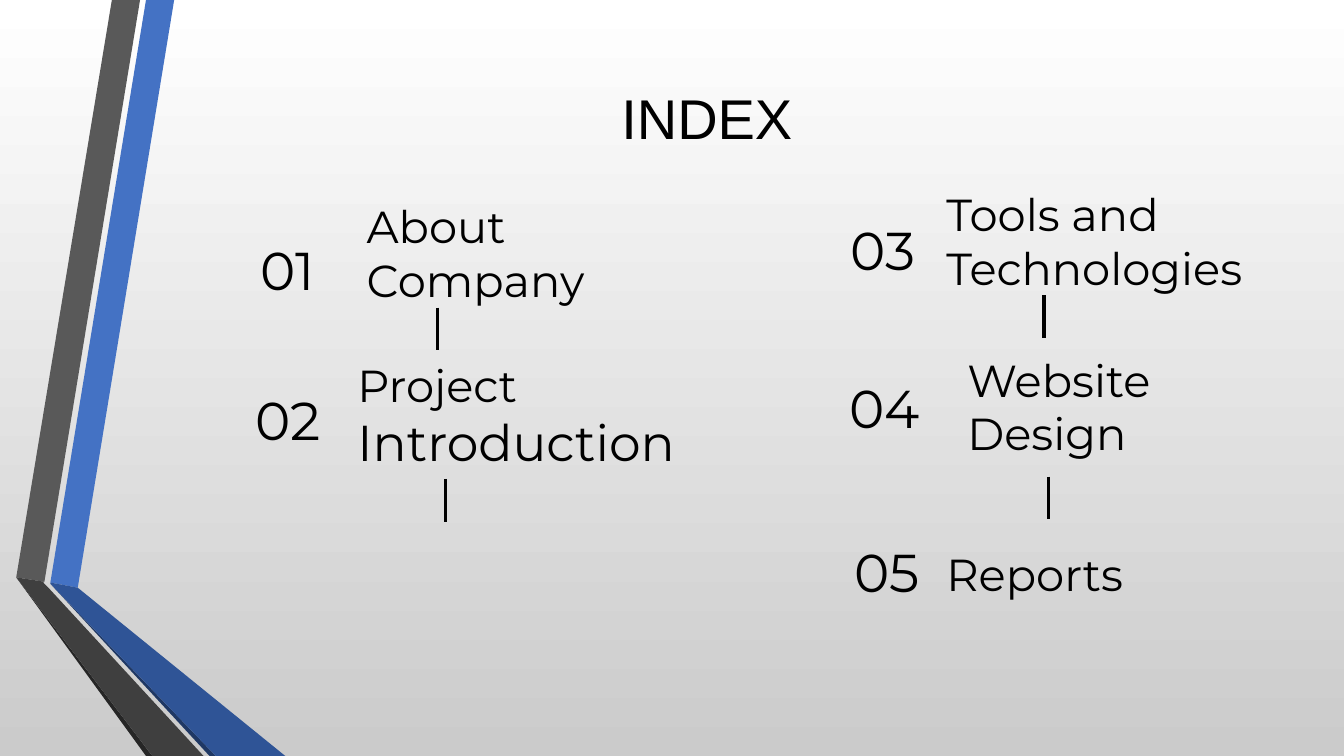
import pptx
import pptx.dml.color
import pptx.enum.shapes
import pptx.enum.text
import pptx.oxml
import pptx.util
from dataclasses import dataclass

Cm, Pt = pptx.util.Cm, pptx.util.Pt
PP_ALIGN = pptx.enum.text.PP_ALIGN


@dataclass(frozen=True)
class Theme:
    ink: str = "000000"
    sky: str = "FFFFFF"
    ground: str = "CBCBCB"
    blue: str = "4472C4"
    blue_fold: str = "2F5496"
    blue_edge: str = "1F3864"
    gray: str = "595959"
    gray_fold: str = "3F3F3F"
    gray_edge: str = "262626"
    title_font: str = "Arial"
    body_font: str = "Montserrat"
    title_size: int = 40
    topic_size: int = 32
    large_topic_size: int = 36
    number_size: int = 38


theme = Theme()
rgb = pptx.dml.color.RGBColor.from_string

deck = pptx.Presentation()
deck.slide_width, deck.slide_height = Cm(33.87), Cm(19.05)
slide = deck.slides.add_slide(deck.slide_layouts[6])


def add_text(text, left, top, width, height, size, last_size=None,
             font=theme.body_font, align=PP_ALIGN.LEFT):
    """Write one paragraph per line; last_size applies to the final line."""
    frame = slide.shapes.add_textbox(Cm(left), Cm(top), Cm(width), Cm(height)).text_frame
    frame.word_wrap = True
    frame.vertical_anchor = pptx.enum.text.MSO_ANCHOR.MIDDLE
    frame.margin_left = frame.margin_right = Cm(0.25)
    frame.margin_top = frame.margin_bottom = Cm(0.25)
    frame.text = text
    for paragraph in frame.paragraphs:
        paragraph.alignment = align
        paragraph.font.name = font
        paragraph.font.size = Pt(size)
        paragraph.font.color.rgb = rgb(theme.ink)
    if last_size:
        frame.paragraphs[-1].font.size = Pt(last_size)


# Background: white fading down to gray
backdrop = slide.background.fill
backdrop.gradient()
backdrop.gradient_angle = 270
for stop, position, color in zip(backdrop.gradient_stops, (0, 1), (theme.sky, theme.ground)):
    stop.position = position
    stop.color.rgb = rgb(color)

# Folded ribbons on the left edge
ribbons = [
    (theme.blue, [(1.27, 14.68), (1.96, 14.81), (4.39, 0), (3.68, 0)]),
    (theme.gray, [(3.53, 0), (2.82, 0), (0.41, 14.55), (1.12, 14.66)]),
    (theme.gray_edge, [(0.41, 14.55), (3.68, 19.05), (3.84, 19.05)]),
    (theme.blue_edge, [(1.27, 14.71), (5.28, 19.05), (5.44, 19.05)]),
    (theme.blue_fold, [(1.27, 14.71), (5.44, 19.05), (7.19, 19.05), (1.96, 14.81),
                       (1.27, 14.68)]),
    (theme.gray_fold, [(5.13, 19.05), (1.22, 14.81), (1.09, 14.68), (1.12, 14.66),
                       (0.41, 14.55), (3.84, 19.05)]),
]
for color, corners in ribbons:
    points = [(Cm(x), Cm(y)) for x, y in corners]
    outline = slide.shapes.build_freeform(*points[0], scale=1.0)
    outline.add_line_segments(points[1:], close=True)
    ribbon = outline.convert_to_shape()
    ribbon.shadow.inherit = False
    ribbon.fill.solid()
    ribbon.fill.fore_color.rgb = rgb(color)
    ribbon.line.fill.background()

# Title
add_text("INDEX", 7.11, 2.16, 21.41, 1.6, theme.title_size,
         font=theme.title_font, align=PP_ALIGN.CENTER)

# Topics: text, left, top, width, size of the last line
topics = [
    ("About\nCompany", 8.99, 4.98, 7.09, None),
    ("Project\nIntroduction", 8.76, 9.06, 10.72, theme.large_topic_size),
    ("Tools and Technologies", 23.6, 4.67, 10.27, None),
    ("Website Design", 24.13, 8.84, 8.76, None),
    ("Reports", 23.6, 13.06, 8.76, None),
]
for topic, left, top, width, last_size in topics:
    add_text(topic, left, top, width, 2.79, theme.topic_size, last_size)

# Topic numbers
number_spots = [(5.92, 6.07), (5.94, 9.83), (20.93, 5.56), (20.98, 9.53), (21.03, 13.67)]
for number, (left, top) in enumerate(number_spots, start=1):
    add_text(f"{number:02}", left, top, 2.64, 1.45, theme.number_size, align=PP_ALIGN.CENTER)

# Vertical ticks below the topics
for x, top in [(11.02, 7.75), (26.31, 7.44), (26.42, 12.01), (11.23, 12.07)]:
    tick = slide.shapes.add_connector(pptx.enum.shapes.MSO_CONNECTOR.STRAIGHT,
                                      Cm(x), Cm(top), Cm(x), Cm(top + 1.08))
    tick.line.color.rgb = rgb(theme.ink)
    tick.line.width = Pt(2.25)
    tick._element.spPr.append(pptx.oxml.parse_xml(
        '<a:effectLst xmlns:a="http://schemas.openxmlformats.org/drawingml/2006/main"/>'))

deck.save("out.pptx")
